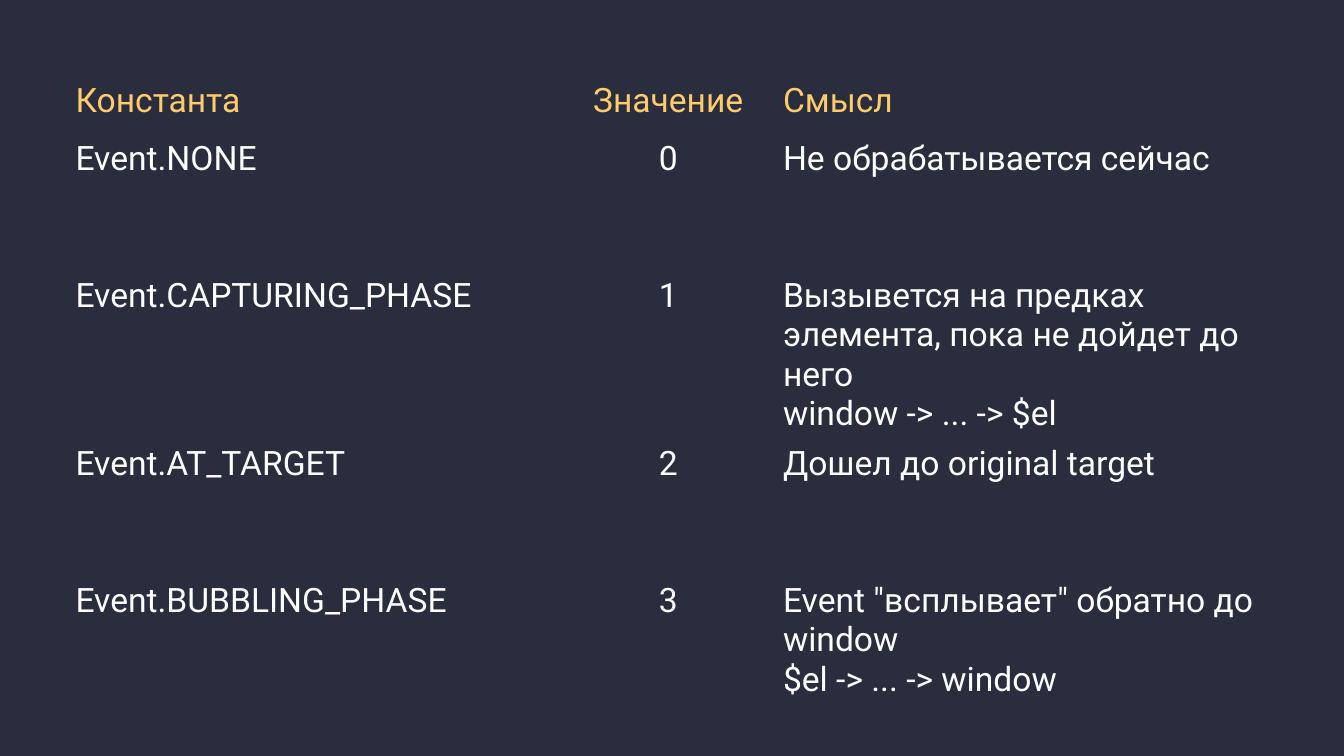
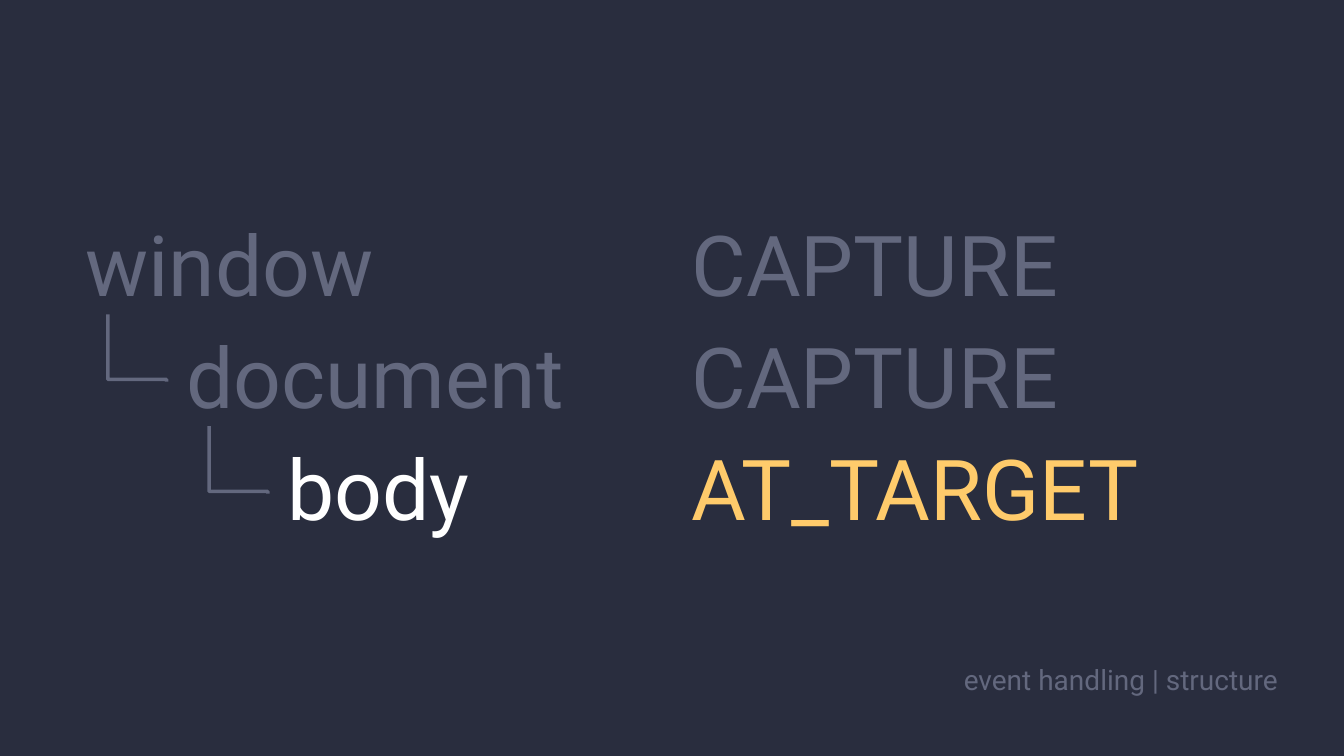
from lxml import etree
from pptx import Presentation
from pptx.dml.color import RGBColor
from pptx.enum.shapes import MSO_CONNECTOR
from pptx.enum.text import MSO_ANCHOR, PP_ALIGN
from pptx.oxml.ns import qn
from pptx.util import Cm, Pt

ELBOW = MSO_CONNECTOR.ELBOW
TOP = MSO_ANCHOR.TOP
LEFT, CENTER, RIGHT = PP_ALIGN.LEFT, PP_ALIGN.CENTER, PP_ALIGN.RIGHT

# Shared style
FONT = "Roboto"
NIGHT, AMBER, WHITE, MIST = "292D3E", "FFCB6B", "FFFFFF", "9DA3BE"
MIST_OPACITY = 50
NO_TABLE_STYLE = "{2D5ABB26-0587-4C30-8999-92F81FD0307C}"
MARGIN, CONTENT_WIDTH = 1.65, 30.56

PHASES = [
    ("Константа", "Значение", "Смысл"),
    ("Event.NONE", "0", "Не обрабатывается сейчас"),
    ("Event.CAPTURING_PHASE", "1",
     "Вызывется на предках элемента, пока не дойдет до него\vwindow -> ... -> $el"),
    ("Event.AT_TARGET", "2", "Дошел до original target"),
    ("Event.BUBBLING_PHASE", "3",
     'Event "всплывает" обратно до window\v$el -> ... -> window'),
]

# Node, its colour, phase, its colour
TREE = [
    ("window", MIST, "CAPTURE", MIST),
    ("document", MIST, "CAPTURE", MIST),
    ("body", WHITE, "AT_TARGET", AMBER),
]


def paint(fill, color, element=None):
    """Fill with a hex colour; the muted colour is see-through."""
    fill.solid()
    fill.fore_color.rgb = RGBColor.from_string(color)
    if color == MIST:
        for node in element.iter(qn("a:srgbClr")):
            alpha = etree.SubElement(node, qn("a:alpha"))
            alpha.set("val", str(MIST_OPACITY * 1000))


def write(frame, text, size, color, align=LEFT):
    frame.text = text
    for para in frame.paragraphs:
        para.alignment = align
        for span in para.runs:
            span.font.name = FONT
            span.font.size = Pt(size)
            paint(span.font.fill, color, span.font._element)


def add_label(page, box, text, size, color, insets, align=LEFT):
    """Text box; insets are left, top, right, bottom."""
    label = page.shapes.add_textbox(*map(Cm, box))
    frame = label.text_frame
    frame.word_wrap = True
    frame.vertical_anchor = TOP
    (frame.margin_left, frame.margin_top,
     frame.margin_right, frame.margin_bottom) = map(Cm, insets)
    write(frame, text, size, color, align)


def add_branch(page, left, top, span, drop):
    """Elbow that goes down, then right: a quarter-turned connector."""
    middle_x, middle_y = left + span / 2, top + drop / 2
    branch = page.shapes.add_connector(
        ELBOW, Cm(middle_x + drop / 2), Cm(middle_y - span / 2),
        Cm(middle_x - drop / 2), Cm(middle_y + span / 2))
    properties = branch._element.spPr
    properties.find(qn("a:xfrm")).set("rot", str(270 * 60000))
    geometry = properties.find(qn("a:prstGeom"))
    adjustments = geometry.find(qn("a:avLst"))
    if adjustments is None:
        adjustments = etree.SubElement(geometry, qn("a:avLst"))
    etree.SubElement(adjustments, qn("a:gd"), name="adj1", fmla="val 96700")
    branch.line.width = Pt(2.5)
    paint(branch.line.fill, MIST, properties)
    etree.SubElement(properties, qn("a:effectLst"))


def add_phase_table(page, left, top, width):
    row_heights = [1.45] + [3.45] * (len(PHASES) - 1)
    column_widths = [12.55, 5.28, width - 12.55 - 5.28]
    frame = page.shapes.add_table(
        len(row_heights), len(column_widths),
        Cm(left), Cm(top), Cm(width), Cm(sum(row_heights)))
    table = frame.table
    table.first_row = table.horz_banding = False
    table._tbl.tblPr.find(qn("a:tableStyleId")).text = NO_TABLE_STYLE
    for column, column_width in zip(table.columns, column_widths):
        column.width = Cm(column_width)
    for row, height, texts in zip(table.rows, row_heights, PHASES):
        row.height = Cm(height)
        color = AMBER if texts == PHASES[0] else WHITE
        for cell, text, align in zip(row.cells, texts, (LEFT, CENTER, LEFT)):
            cell.fill.background()
            write(cell.text_frame, text, 24, color, align)


def add_event_tree(page, left, top, width):
    """Node tree in the left half, phase of each node in the right half."""
    indent, row_height, phase_offset = 2.55, 2.82, width / 2
    insets = (0.5, 0.25, 1.27, 0.08)
    for level, (node, node_color, phase, phase_color) in enumerate(TREE):
        shift, row_top = level * indent, top + level * row_height
        add_label(page, (left + shift, row_top, phase_offset - shift, row_height),
                  node, 60, node_color, insets)
        add_label(page, (left + phase_offset, row_top, 13.92, row_height),
                  phase, 60, phase_color, insets)
        if level:
            span = 1.48
            add_branch(page, left + shift - span, row_top, span, 1.7)


def add_footer(page, text):
    add_label(page, (MARGIN, 16.54, CONTENT_WIDTH, 1.12), text, 20, MIST,
              (0, 0.15, 0, 0.13), RIGHT)


def main():
    deck = Presentation()
    deck.slide_width, deck.slide_height = Cm(33.87), Cm(19.05)
    paint(deck.slide_master.background.fill, NIGHT)
    blank = deck.slide_layouts[6]

    # Event phase constants
    page = deck.slides.add_slide(blank)
    add_phase_table(page, MARGIN, 1.93, CONTENT_WIDTH)

    # Event path through the document
    page = deck.slides.add_slide(blank)
    add_event_tree(page, MARGIN, 5.1, CONTENT_WIDTH)
    add_footer(page, "event handling | structure")

    deck.save("out.pptx")


if __name__ == "__main__":
    main()
